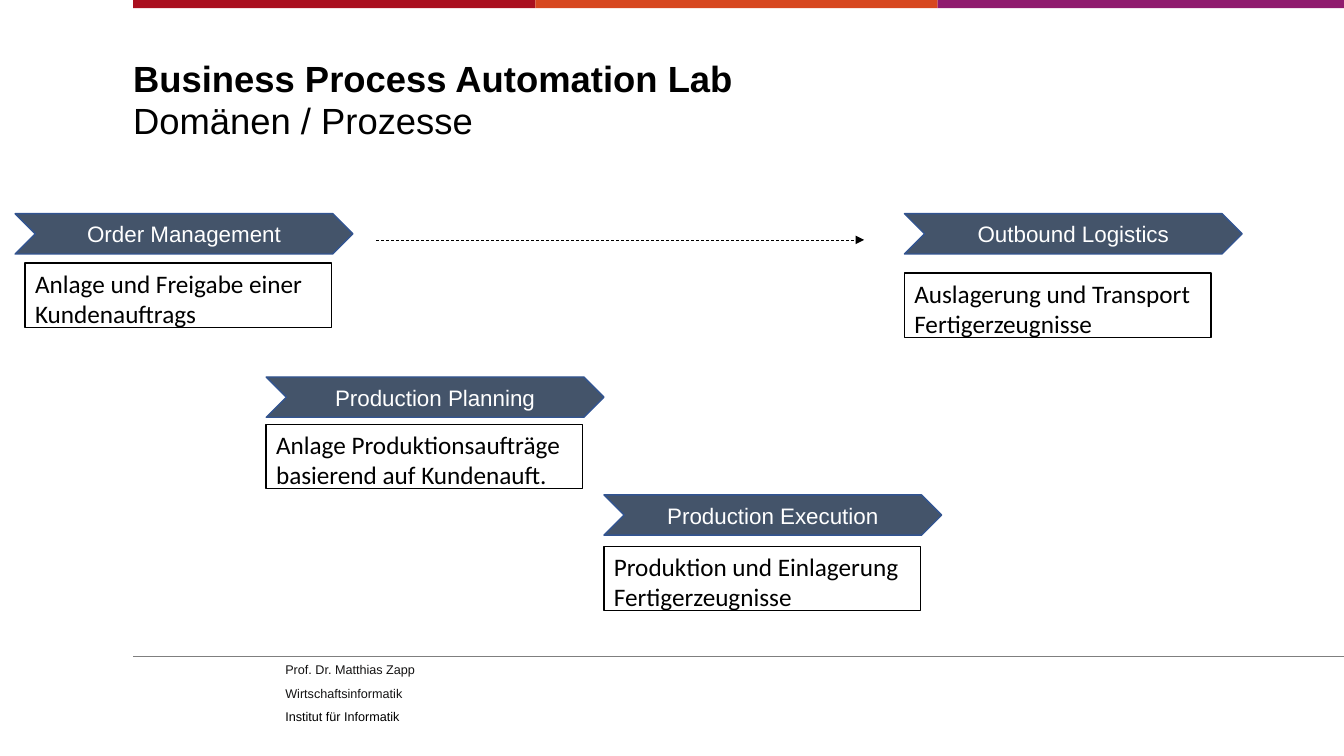
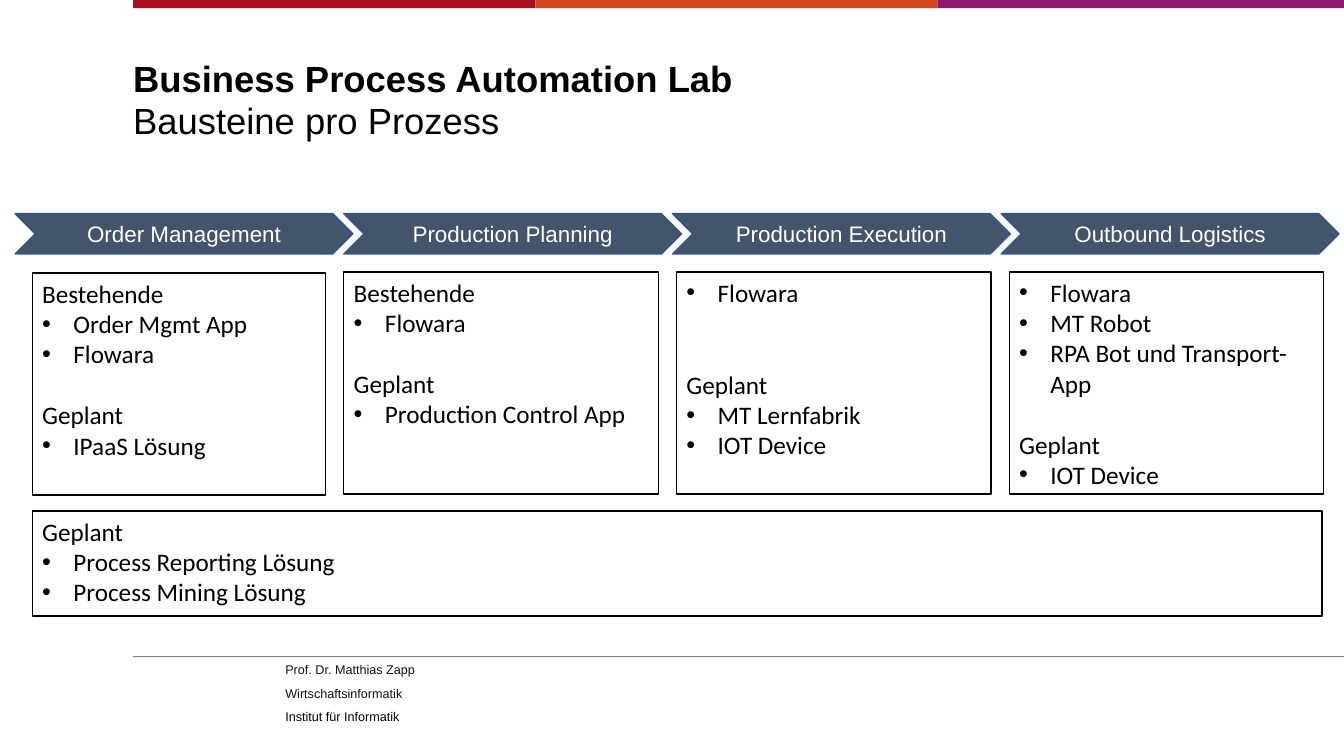
from dataclasses import dataclass
from lxml import etree
from pptx import Presentation
from pptx.dml.color import RGBColor
from pptx.enum.dml import MSO_LINE
from pptx.enum.shapes import MSO_CONNECTOR, MSO_SHAPE
from pptx.enum.text import MSO_ANCHOR, PP_ALIGN
from pptx.oxml.ns import qn
from pptx.util import Inches, Pt

RECT, CHEVRON = MSO_SHAPE.RECTANGLE, MSO_SHAPE.CHEVRON
STRAIGHT, DASH = MSO_CONNECTOR.STRAIGHT, MSO_LINE.DASH
LEFT, CENTER = PP_ALIGN.LEFT, PP_ALIGN.CENTER
TOP, MIDDLE = MSO_ANCHOR.TOP, MSO_ANCHOR.MIDDLE


@dataclass(frozen=True)
class Theme:
    bands: tuple = ("AA0F1F", "D7471F", "901B6E")
    black: str = "000000"
    white: str = "FFFFFF"
    step: str = "44546A"
    step_line: str = "325491"
    rule: str = "7F7F7F"
    footer: str = "141313"
    head_font: str = "Arial"
    body_font: str = "Calibri"
    title_pt: int = 26
    title_line_pt: int = 30
    step_pt: int = 16
    body_pt: int = 18
    body_line_pt: int = 22
    footer_pt: int = 9


T = Theme()


def add_run(p, text, size, font, color, bold=False):
    r = p.add_run()
    r.text = text
    r.font.size, r.font.name, r.font.bold = Pt(size), font, bold
    r.font.color.rgb = RGBColor.from_string(color)


def add_box(s, kind, at, fill, line=None):
    sp = s.shapes.add_shape(kind, *map(Inches, at))
    sp.shadow.inherit = False
    sp.fill.solid()
    sp.fill.fore_color.rgb = RGBColor.from_string(fill)
    if line:
        sp.line.color.rgb = RGBColor.from_string(line)
        sp.line.width = Pt(1)
    else:
        sp.line.fill.background()
    tf = sp.text_frame
    tf.word_wrap = True
    tf.vertical_anchor = MIDDLE if kind == CHEVRON else TOP
    p = tf.paragraphs[0]
    p.alignment = CENTER if kind == CHEVRON else LEFT
    return tf


# Content: each box holds groups of (blank lines above, heading, bullets)
STEPS = ["Order Management", "Production Planning", "Production Execution", "Outbound Logistics"]
STEP_SIZE = (3.35, 0.4)
STEP_TOP, STEP_PITCH = 2.12, 3.26
RULE = (1.32, 6.51, 13.34, 6.51)
ARROW = (3.73, 2.38, 8.57, 2.38)

SLIDES = [
    {
        "subtitle": "Domänen / Prozesse",
        "steps": [(0.15, STEP_TOP), (2.64, 3.74), (5.99, 4.91), (8.97, STEP_TOP)],
        "lines": [RULE, ARROW],
        "boxes": [
            ((0.25, 2.61, 3.04, 0.64), [(0, "Anlage und Freigabe einer Kundenauftrags", [])]),
            ((2.64, 4.21, 3.14, 0.64),
             [(0, "Anlage Produktionsaufträge basierend auf Kundenauft.", [])]),
            ((5.99, 5.42, 3.14, 0.64), [(0, "Produktion und Einlagerung Fertigerzeugnisse", [])]),
            ((8.97, 2.71, 3.04, 0.64), [(0, "Auslagerung und Transport Fertigerzeugnisse", [])]),
        ],
    },
    {
        "subtitle": "Bausteine pro Prozess",
        "steps": [(0.15 + i * STEP_PITCH, STEP_TOP) for i in range(len(STEPS))],
        "lines": [RULE],
        "boxes": [
            ((0.32, 2.71, 2.91, 2.2), [(0, "Bestehende", ["Order Mgmt App", "Flowara"]),
                                       (1, "Geplant", ["IPaaS Lösung"])]),
            ((3.41, 2.7, 3.12, 2.2), [(0, "Bestehende", ["Flowara"]),
                                      (1, "Geplant", ["Production Control App"])]),
            ((6.71, 2.7, 3.12, 2.2), [(0, None, ["Flowara"]),
                                      (2, "Geplant", ["MT Lernfabrik", "IOT Device"])]),
            ((10.01, 2.7, 3.12, 2.2),
             [(0, None, ["Flowara", "MT Robot", "RPA Bot und Transport-App"]),
              (1, "Geplant", ["IOT Device"])]),
            ((0.32, 5.07, 12.79, 1.04),
             [(0, "Geplant", ["Process Reporting Lösung", "Process Mining Lösung"])]),
        ],
    },
]
FOOTER = [("Prof. Dr. Matthias Zapp", T.footer), ("Wirtschaftsinformatik", T.footer),
          ("Institut für Informatik", T.black)]

prs = Presentation()
prs.slide_width, prs.slide_height = Inches(13.33), Inches(7.5)

for content in SLIDES:
    s = prs.slides.add_slide(prs.slide_layouts[6])

    # Colour bands
    for i, color in enumerate(T.bands):
        add_box(s, RECT, (1.32 + i * 3.99, 0, 3.99 if i < 2 else 4.04, 0.08), color)

    # Title and footer frames
    frames = []
    for at in [(1.32, 0.57, 11.81, 0.98), (2.83, 6.57, 5.75, 0.6)]:
        tf = s.shapes.add_textbox(*map(Inches, at)).text_frame
        tf.word_wrap = True
        tf.margin_left = tf.margin_right = tf.margin_top = tf.margin_bottom = 0
        frames.append(tf)
    title, footer = frames

    p = title.paragraphs[0]
    p.line_spacing = Pt(T.title_line_pt)
    add_run(p, "Business Process Automation Lab", T.title_pt, T.head_font, T.black, True)
    p.add_line_break()
    add_run(p, content["subtitle"], T.title_pt, T.head_font, T.black)

    for i, (text, color) in enumerate(FOOTER):
        p = footer.add_paragraph() if i else footer.paragraphs[0]
        p.space_after = Pt(6)
        add_run(p, text, T.footer_pt, T.head_font, color)

    # Footer rule and dashed arrow
    for ends in content["lines"]:
        line = s.shapes.add_connector(STRAIGHT, *map(Inches, ends))
        line.line.width = Pt(0.5)
        line.line.color.rgb = RGBColor.from_string(T.rule if ends == RULE else T.black)
        if ends == ARROW:
            line.line.dash_style = DASH
            etree.SubElement(line.line._get_or_add_ln(), qn("a:tailEnd"), type="triangle")
        etree.SubElement(line._element.spPr, qn("a:effectLst"))

    # Process steps
    for name, place in zip(STEPS, content["steps"]):
        tf = add_box(s, CHEVRON, place + STEP_SIZE, T.step, T.step_line)
        add_run(tf.paragraphs[0], name, T.step_pt, T.head_font, T.white)

    # Boxes with headings and bullets
    for at, groups in content["boxes"]:
        tf = add_box(s, RECT, at, T.white, T.black)
        p = tf.paragraphs[0]
        for gap, heading, bullets in groups:
            rows = [(heading, False)] if heading else []
            rows += [(text, True) for text in bullets]
            for i, (text, bulleted) in enumerate(rows):
                if p.runs:
                    p = tf.add_paragraph()
                p.alignment = LEFT
                if gap and i == 0:
                    p.space_before = Pt(gap * T.body_line_pt)
                if bulleted:
                    pPr = p._p.get_or_add_pPr()
                    pPr.set("marL", str(Inches(0.31)))
                    pPr.set("indent", str(-Inches(0.31)))
                    etree.SubElement(pPr, qn("a:buFont"), typeface="Arial")
                    etree.SubElement(pPr, qn("a:buChar"), char="•")
                add_run(p, text, T.body_pt, T.body_font, T.black)

prs.save("out.pptx")
